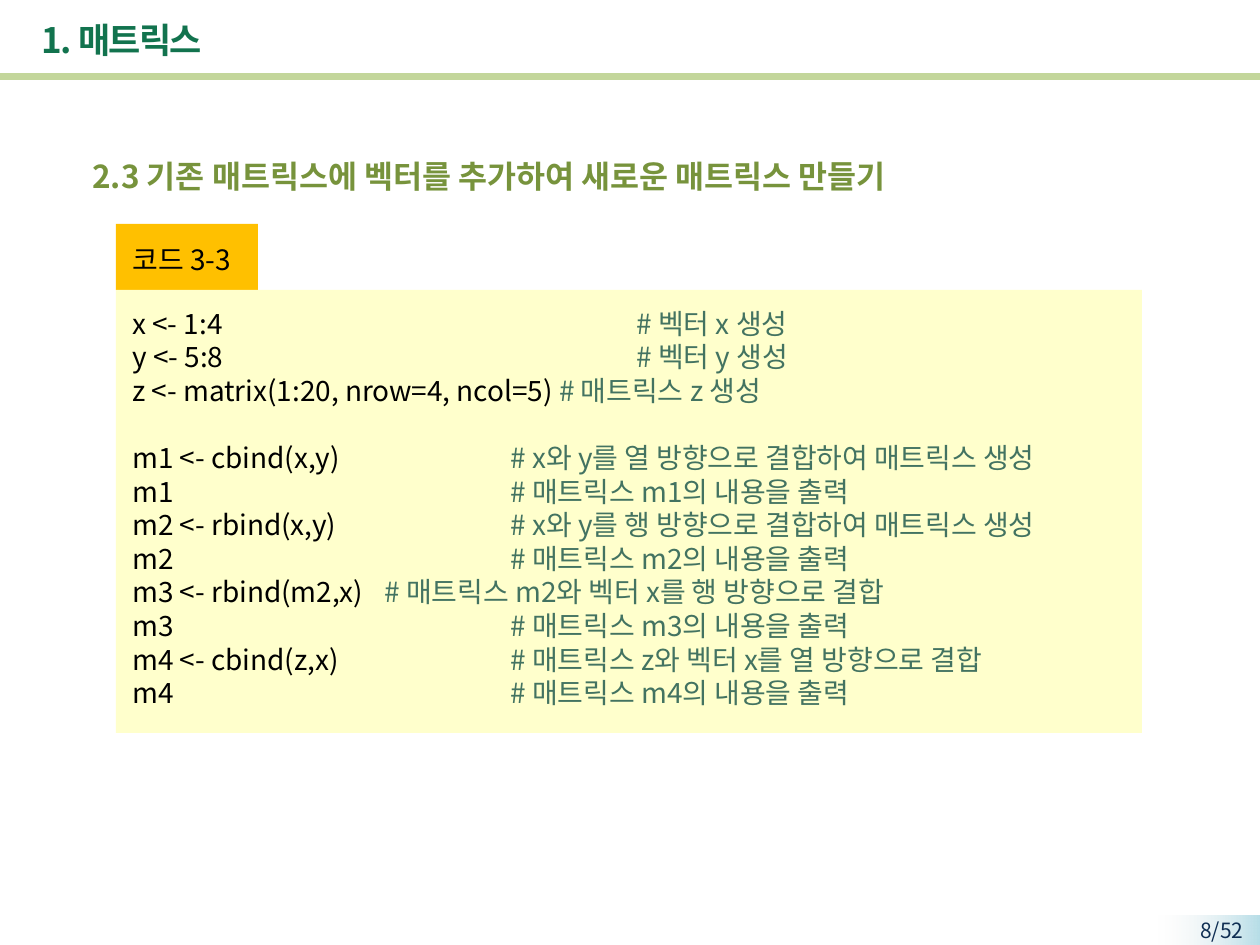
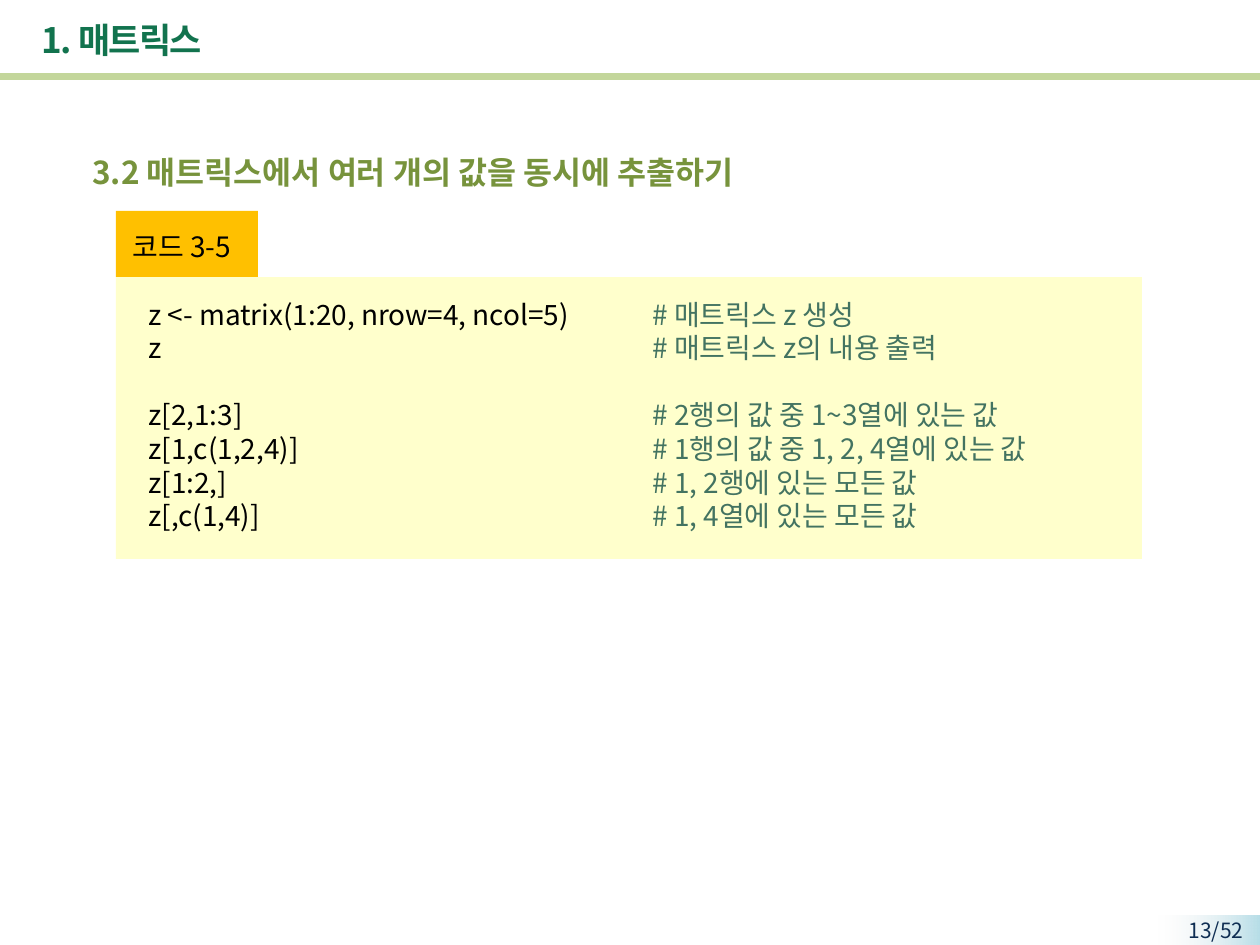
from dataclasses import dataclass
from typing import Any, NamedTuple

from lxml import etree
from pptx import Presentation
from pptx.dml.color import RGBColor
from pptx.enum.shapes import MSO_SHAPE
from pptx.enum.text import MSO_ANCHOR, MSO_AUTO_SIZE, PP_ALIGN
from pptx.oxml.ns import qn
from pptx.util import Emu, Pt

RECTANGLE = MSO_SHAPE.RECTANGLE
TOP, MIDDLE = MSO_ANCHOR.TOP, MSO_ANCHOR.MIDDLE
LEFT, RIGHT = PP_ALIGN.LEFT, PP_ALIGN.RIGHT
NO_AUTOFIT = MSO_AUTO_SIZE.NONE

BLACK = RGBColor(0x00, 0x00, 0x00)
TITLE_GREEN = RGBColor(0x12, 0x73, 0x4E)
HEADING_GREEN = RGBColor(0x77, 0x93, 0x3C)
RULE_GREEN = RGBColor(0xC3, 0xD6, 0x9B)
COMMENT_GREEN = RGBColor(0x43, 0x73, 0x61)
LABEL_ORANGE = RGBColor(0xFF, 0xC0, 0x00)
CODE_YELLOW = RGBColor(0xFF, 0xFF, 0xCC)
PAGE_NAVY = RGBColor(0x0F, 0x2E, 0x53)
BADGE_BLUE = RGBColor(0xB7, 0xDE, 0xE8)
BADGE_GREY = RGBColor(0xF2, 0xF2, 0xF2)

FONT = "Noto Sans CJK KR"
LINE_FACTOR = 1.2
PX_PER_INCH = 126
EMU_PER_INCH = 914400
TITLE_ONLY = 5
PAGE_COUNT = 52
TITLE = "1. 매트릭스"


class Box(NamedTuple):
    left: int
    top: int
    width: int
    height: int


class TextStyle(NamedTuple):
    size: int
    color: RGBColor
    bold: bool = False
    align: PP_ALIGN = LEFT
    anchor: MSO_ANCHOR = TOP


class CodeLine(NamedTuple):
    code: str
    comment: str
    column: int = 4
    gap_after: bool = False


@dataclass(frozen=True)
class CodeSlide:
    page: int
    heading: str
    heading_top: int
    label: str
    label_top: int
    panel_height: int
    code_box: Box
    lines: list[CodeLine]


TITLE_STYLE = TextStyle(20, TITLE_GREEN, bold=True, anchor=MIDDLE)
HEADING_STYLE = TextStyle(18, HEADING_GREEN, bold=True, anchor=MIDDLE)
CODE_STYLE = TextStyle(16, BLACK)
COMMENT_STYLE = TextStyle(16, COMMENT_GREEN)
PAGE_STYLE = TextStyle(12, PAGE_NAVY, align=RIGHT)

TITLE_BOX = Box(29, 7, 1072, 65)
RULE_BOX = Box(0, 73, 1260, 7)
BADGE_BOX = Box(1159, 916, 101, 30)
PAGE_BOX = Box(1140, 911, 116, 29)
PANEL_LEFT, PANEL_WIDTH = 116, 1026
LABEL_WIDTH, LABEL_HEIGHT = 142, 66

SLIDES = [
    CodeSlide(
        8, "2.3 기존 매트릭스에 벡터를 추가하여 새로운 매트릭스 만들기", 151,
        "코드 3-3", 224, 443, Box(120, 300, 1000, 420),
        [
            CodeLine("x <- 1:4", "# 벡터 x 생성"),
            CodeLine("y <- 5:8", "# 벡터 y 생성"),
            CodeLine("z <- matrix(1:20, nrow=4, ncol=5)", "# 매트릭스 z 생성", 0, True),
            CodeLine("m1 <- cbind(x,y)", "# x와 y를 열 방향으로 결합하여 매트릭스 생성", 3),
            CodeLine("m1", "# 매트릭스 m1의 내용을 출력", 3),
            CodeLine("m2 <- rbind(x,y)", "# x와 y를 행 방향으로 결합하여 매트릭스 생성", 3),
            CodeLine("m2", "# 매트릭스 m2의 내용을 출력", 3),
            CodeLine("m3 <- rbind(m2,x)", "# 매트릭스 m2와 벡터 x를 행 방향으로 결합", 2),
            CodeLine("m3", "# 매트릭스 m3의 내용을 출력", 3),
            CodeLine("m4 <- cbind(z,x)", "# 매트릭스 z와 벡터 x를 열 방향으로 결합", 3),
            CodeLine("m4", "# 매트릭스 m4의 내용을 출력", 3),
        ],
    ),
    CodeSlide(
        13, "3.2 매트릭스에서 여러 개의 값을 동시에 추출하기", 147,
        "코드 3-5", 211, 282, Box(136, 291, 978, 251),
        [
            CodeLine("z <- matrix(1:20, nrow=4, ncol=5)", "# 매트릭스 z 생성"),
            CodeLine("z", "# 매트릭스 z의 내용 출력", gap_after=True),
            CodeLine("z[2,1:3]", "# 2행의 값 중 1~3열에 있는 값"),
            CodeLine("z[1,c(1,2,4)]", "# 1행의 값 중 1, 2, 4열에 있는 값"),
            CodeLine("z[1:2,]", "# 1, 2행에 있는 모든 값"),
            CodeLine("z[,c(1,4)]", "# 1, 4열에 있는 모든 값"),
        ],
    ),
]


def px(length: int) -> Emu:
    return Emu(round(length * EMU_PER_INCH / PX_PER_INCH))


def place(box: Box) -> list[Emu]:
    return [px(length) for length in box]


def set_all(target: Any, values: dict[str, Any]) -> None:
    for name, value in values.items():
        setattr(target, name, value)


def add_run(paragraph: Any, text: str, style: TextStyle) -> Any:
    run = paragraph.add_run()
    run.text = text
    set_all(run.font, {"name": FONT, "size": Pt(style.size), "bold": style.bold})
    run.font.color.rgb = style.color
    properties = run.font._element
    etree.SubElement(properties, qn("a:ea")).set("typeface", FONT)
    return properties


def format_paragraph(paragraph: Any, style: TextStyle) -> None:
    set_all(paragraph, {
        "alignment": style.align,
        "line_spacing": Pt(style.size * LINE_FACTOR),
    })


def format_frame(frame: Any, style: TextStyle) -> None:
    set_all(frame, {
        "word_wrap": True,
        "auto_size": NO_AUTOFIT,
        "vertical_anchor": style.anchor,
    })


def add_text(slide: Any, box: Box, text: str, style: TextStyle) -> None:
    frame = slide.shapes.add_textbox(*place(box)).text_frame
    format_frame(frame, style)
    format_paragraph(frame.paragraphs[0], style)
    add_run(frame.paragraphs[0], text, style)


def add_rectangle(slide: Any, box: Box, color: RGBColor) -> Any:
    shape = slide.shapes.add_shape(RECTANGLE, *place(box))
    shape.shadow.inherit = False
    shape.fill.solid()
    shape.fill.fore_color.rgb = color
    shape.line.fill.background()
    return shape


def add_title(slide: Any) -> None:
    title = slide.shapes.title
    set_all(title, dict(zip(("left", "top", "width", "height"), place(TITLE_BOX))))
    format_frame(title.text_frame, TITLE_STYLE)
    paragraph = title.text_frame.paragraphs[0]
    format_paragraph(paragraph, TITLE_STYLE)
    add_run(paragraph, TITLE, TITLE_STYLE).set("spc", "-100")


def add_page_badge(slide: Any, page: int) -> None:
    fill = add_rectangle(slide, BADGE_BOX, BADGE_BLUE).fill
    fill.gradient()
    fill.gradient_angle = 180
    for stop, color in zip(fill.gradient_stops, (BADGE_BLUE, BADGE_GREY)):
        stop.color.rgb = color
    clear_color = slide.shapes[-1]._element.spPr.findall(".//" + qn("a:srgbClr"))[-1]
    etree.SubElement(clear_color, qn("a:alpha")).set("val", "0")
    add_text(slide, PAGE_BOX, f"{page}/{PAGE_COUNT}", PAGE_STYLE)


def add_code(slide: Any, box: Box, lines: list[CodeLine]) -> None:
    frame = slide.shapes.add_textbox(*place(box)).text_frame
    format_frame(frame, CODE_STYLE)
    for index, line in enumerate(lines):
        paragraph = frame.add_paragraph() if index else frame.paragraphs[0]
        format_paragraph(paragraph, CODE_STYLE)
        if line.gap_after:
            paragraph.space_after = Pt(CODE_STYLE.size * LINE_FACTOR)
        if line.column:
            tabs = etree.SubElement(paragraph._p.get_or_add_pPr(), qn("a:tabLst"))
            tab = etree.SubElement(tabs, qn("a:tab"))
            tab.set("pos", str(line.column * EMU_PER_INCH))
            tab.set("algn", "l")
        separator = "\t" if line.column else " "
        add_run(paragraph, line.code + separator, CODE_STYLE)
        add_run(paragraph, line.comment, COMMENT_STYLE)


def add_code_slide(presentation: Any, content: CodeSlide) -> None:
    slide = presentation.slides.add_slide(presentation.slide_layouts[TITLE_ONLY])
    add_page_badge(slide, content.page)
    add_rectangle(slide, RULE_BOX, RULE_GREEN)
    add_title(slide)
    add_text(slide, Box(80, content.heading_top, 1150, 50), content.heading, HEADING_STYLE)

    label_box = Box(PANEL_LEFT, content.label_top, LABEL_WIDTH, LABEL_HEIGHT)
    panel_top = content.label_top + LABEL_HEIGHT
    panel_box = Box(PANEL_LEFT, panel_top, PANEL_WIDTH, content.panel_height)
    add_rectangle(slide, label_box, LABEL_ORANGE)
    add_rectangle(slide, panel_box, CODE_YELLOW)
    add_text(slide, Box(120, content.label_top + 12, 135, 47), content.label, CODE_STYLE)
    add_code(slide, content.code_box, content.lines)


def main() -> None:
    presentation = Presentation()
    set_all(presentation, {"slide_width": px(1260), "slide_height": px(945)})
    for content in SLIDES:
        add_code_slide(presentation, content)
    presentation.save("out.pptx")


if __name__ == "__main__":
    main()
